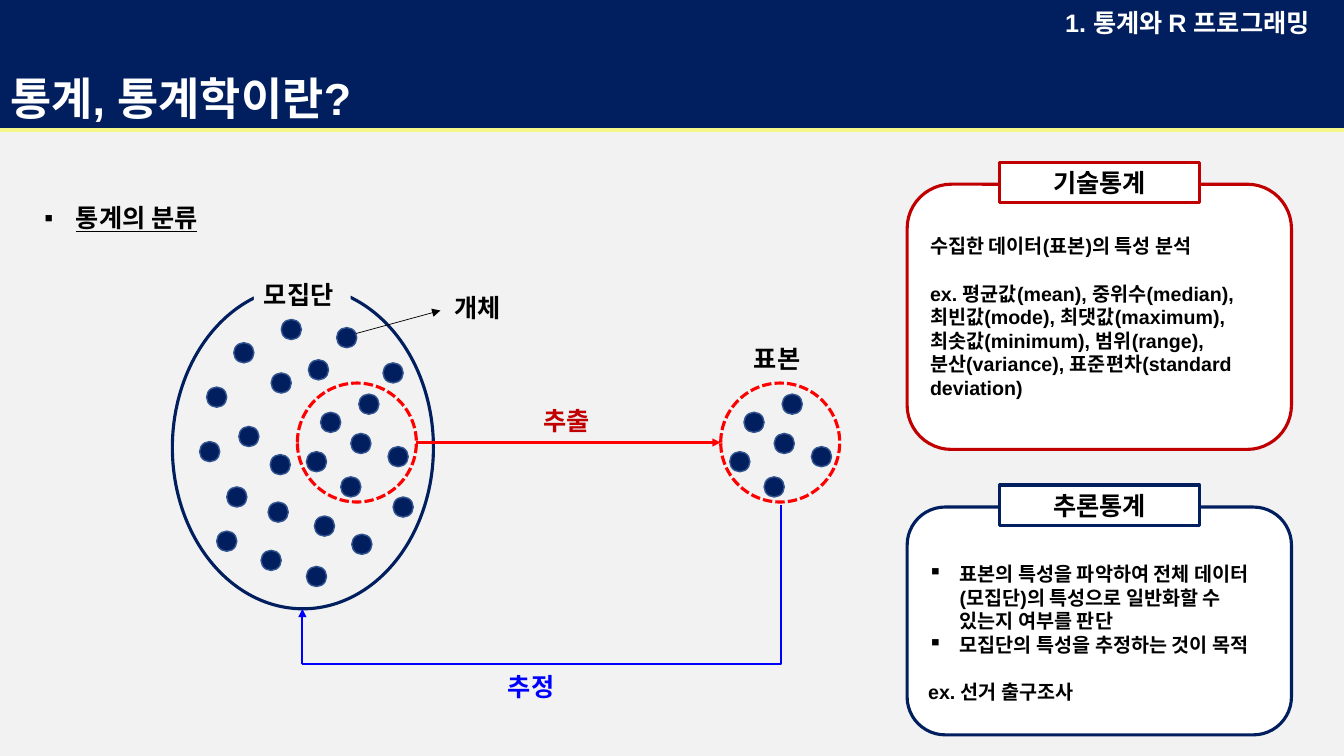
from lxml import etree
from pptx import Presentation
from pptx.dml.color import RGBColor
from pptx.enum.dml import MSO_LINE
from pptx.enum.shapes import MSO_CONNECTOR, MSO_SHAPE
from pptx.enum.text import MSO_ANCHOR, MSO_AUTO_SIZE, PP_ALIGN
from pptx.oxml.ns import qn
from pptx.util import Pt

OVAL, RECTANGLE, ROUNDED = MSO_SHAPE.OVAL, MSO_SHAPE.RECTANGLE, MSO_SHAPE.ROUNDED_RECTANGLE
STRAIGHT, ELBOW = MSO_CONNECTOR.STRAIGHT, MSO_CONNECTOR.ELBOW
DASH = MSO_LINE.SQUARE_DOT
TOP, MIDDLE, BOTTOM = MSO_ANCHOR.TOP, MSO_ANCHOR.MIDDLE, MSO_ANCHOR.BOTTOM
LEFT, CENTER = PP_ALIGN.LEFT, PP_ALIGN.CENTER

NAVY, DOT_EDGE, GRAY, YELLOW = "011F5E", "325491", "F2F2F2", "F5F888"
WHITE, BLACK, CRIMSON, RED, BLUE = "FFFFFF", "000000", "C00000", "FF0000", "0000FF"
LATIN, KOREAN = "Arial", "Noto Sans CJK KR"


def rgb(value):
    return RGBColor.from_string(value)


class StatisticsSlide:
    """Holds the slide and draws each kind of element in its style."""

    dot_size = 14.4
    circle_size = 85
    blank_line = 17

    def __init__(self, presentation):
        self.slide = presentation.slides.add_slide(presentation.slide_layouts[1])
        background = self.slide.background.fill
        background.solid()
        background.fore_color.rgb = rgb(GRAY)

    def place(self, shape, box):
        shape.left, shape.top, shape.width, shape.height = map(Pt, box)

    def paint(self, shape, color):
        shape.fill.solid()
        shape.fill.fore_color.rgb = rgb(color)

    def format(self, paragraph, size, color=BLACK, font=KOREAN, align=LEFT,
               spacing=1.0, before=0, bullet=False):
        paragraph.alignment = align
        paragraph.line_spacing = spacing
        paragraph.space_before = Pt(before)
        paragraph.font.size = Pt(size)
        paragraph.font.bold = True
        paragraph.font.color.rgb = rgb(color)
        paragraph.font.name = font
        properties = paragraph._p.get_or_add_pPr()
        defaults = properties.find(qn("a:defRPr"))
        etree.SubElement(defaults, qn("a:ea")).set("typeface", KOREAN)
        if bullet:
            properties.set("marL", str(Pt(22.5)))
            properties.set("indent", str(Pt(-22.5)))
            mark = etree.Element(qn("a:buChar"))
            mark.set("char", "▪")
            defaults.addprevious(mark)

    def title(self, text, box):
        shape = self.slide.shapes.title
        self.place(shape, box)
        self.paint(shape, NAVY)
        frame = shape.text_frame
        frame.text = text
        frame.auto_size = MSO_AUTO_SIZE.NONE
        frame.vertical_anchor = BOTTOM
        self.format(frame.paragraphs[0], 32, WHITE, LATIN, spacing=0.9)

    def heading(self, text, box):
        shape = self.slide.placeholders[1]
        self.place(shape, box)
        frame = shape.text_frame
        frame.text = text
        frame.auto_size = MSO_AUTO_SIZE.NONE
        self.format(frame.paragraphs[0], 18, spacing=1.5, bullet=True)
        frame.paragraphs[0].font.underline = True

    def shape(self, kind, box, fill=None, line=None, width=2.25, dash=None):
        shape = self.slide.shapes.add_shape(kind, *map(Pt, box))
        shape.shadow.inherit = False
        if fill:
            self.paint(shape, fill)
        else:
            shape.fill.background()
        shape.line.color.rgb = rgb(line)
        shape.line.width = Pt(width)
        if dash:
            shape.line.dash_style = dash
        return shape

    def dots(self, positions, shift=0):
        for left, top in positions:
            self.shape(OVAL, (left + shift, top, self.dot_size, self.dot_size),
                       NAVY, DOT_EDGE, 1)

    def sample_circle(self, left):
        self.shape(OVAL, (left, 273.6, self.circle_size, self.circle_size),
                   line=RED, dash=DASH)

    def label(self, text, box, color=BLACK, fill=GRAY, font=KOREAN):
        shape = self.slide.shapes.add_textbox(*map(Pt, box))
        if fill:
            self.paint(shape, fill)
        frame = shape.text_frame
        frame.text = text
        frame.word_wrap = False
        self.format(frame.paragraphs[0], 18, color, font)

    def connector(self, start, end, color, width, arrow=False, kind=STRAIGHT):
        line = self.slide.shapes.add_connector(kind, *map(Pt, start + end))
        line.line.color.rgb = rgb(color)
        line.line.width = Pt(width)
        if arrow:
            tail = etree.SubElement(line.line._get_or_add_ln(), qn("a:tailEnd"))
            tail.set("type", "triangle")
        properties = line._element.spPr
        etree.SubElement(properties, qn("a:effectLst"))
        if kind == ELBOW:  # turn at the very start of the path
            guide = etree.SubElement(properties.find(qn("a:prstGeom")).find(qn("a:avLst")),
                                     qn("a:gd"))
            guide.set("name", "adj1")
            guide.set("fmla", "val 0")

    def card(self, heading, top, height, color, lines, inset_top=3.6):
        """Draws a card; each line is (text, bullet, space before)."""
        body = self.shape(ROUNDED, (648, top, 274.5, height), WHITE, color)
        frame = body.text_frame
        frame.word_wrap = True
        frame.vertical_anchor = MIDDLE
        frame.margin_top = Pt(inset_top)
        for index, (text, bullet, before) in enumerate(lines):
            paragraph = frame.paragraphs[0] if index == 0 else frame.add_paragraph()
            paragraph.text = text
            self.format(paragraph, 14, font=LATIN, before=before, bullet=bullet)
        tab = self.shape(RECTANGLE, (714.2, top - 15.8, 142.6, 29), WHITE, color)
        frame = tab.text_frame
        frame.text = heading
        frame.vertical_anchor = TOP
        self.format(frame.paragraphs[0], 18, align=CENTER)


POPULATION_DOTS = [
    (167, 244.8), (200.9, 228.2), (240.5, 234), (193.7, 266.4), (220.3, 257),
    (170.6, 304.6), (147.6, 276.5), (142.6, 315.4), (162, 347.8), (193, 324.7),
    (280.8, 355), (191.5, 358.6), (154.8, 379.4), (224.6, 368.6), (186.5, 393.1),
    (251.3, 381.6), (218.9, 404.6), (273.6, 259.2),
]
SAMPLE_DOTS = [(256.3, 281.5), (229, 294.5), (218.9, 322.6),
               (250.6, 309.6), (277.2, 319), (243.4, 340.6)]
SAMPLE_LEFT, SAMPLE_SHIFT = 212.4, 302.4


def main():
    presentation = Presentation()
    presentation.slide_width, presentation.slide_height = Pt(960), Pt(540)
    page = StatisticsSlide(presentation)

    # Header
    page.title("통계, 통계학이란?", (0, 0, 960, 92.9))
    page.connector((0, 92.9), (960, 92.9), YELLOW, 2.25)
    page.label("1. 통계와 R 프로그래밍", (753.8, 1.4, 206.6, 29), WHITE, None, LATIN)
    page.heading("통계의 분류", (24.5, 130.3, 891.4, 36))

    # Population
    page.shape(OVAL, (123.1, 204.5, 186.5, 230.4), line=NAVY)
    page.label("모집단", (181.4, 195.8, 69.1, 29))
    page.dots(POPULATION_DOTS + SAMPLE_DOTS)
    page.connector((254.2, 238.3), (314.6, 221.8), BLACK, 0.5, arrow=True)
    page.label("개체", (317.5, 205.2, 51.1, 29))
    page.sample_circle(SAMPLE_LEFT)

    # Sample
    page.dots(SAMPLE_DOTS, SAMPLE_SHIFT)
    page.sample_circle(SAMPLE_LEFT + SAMPLE_SHIFT)
    page.label("표본", (531.4, 241.9, 51.1, 29))

    # Extraction and estimation
    page.connector((297.4, 316.1), (514.8, 316.1), RED, 1.5, arrow=True)
    page.label("추출", (380.9, 285.8, 51.1, 29), CRIMSON)
    page.connector((557.8, 360.7), (216, 474.5), BLUE, 1.5, kind=ELBOW)
    page.connector((216, 474.5), (216, 434.9), BLUE, 1.5, arrow=True)
    page.label("추정", (355.7, 475.9, 51.1, 29), BLUE)

    # Descriptive and inferential statistics
    blank = page.blank_line
    page.card("기술통계", 131.6, 189.4, CRIMSON, [
        ("수집한 데이터(표본)의 특성 분석", False, 0),
        ("ex. 평균값(mean), 중위수(median), 최빈값(mode), 최댓값(maximum),", False, blank),
        ("최솟값(minimum), 범위(range),", False, 0),
        ("분산(variance), 표준편차(standard deviation)", False, 0),
    ])
    page.card("추론통계", 362.2, 162.7, NAVY, [
        ("표본의 특성을 파악하여 전체 데이터(모집단)의 특성으로 일반화할 수 있는지 여부를 판단",
         True, 0),
        ("모집단의 특성을 추정하는 것이 목적", True, 0),
        ("ex. 선거 출구조사", False, blank),
    ], inset_top=3.6 + blank)

    presentation.save("out.pptx")


if __name__ == "__main__":
    main()
